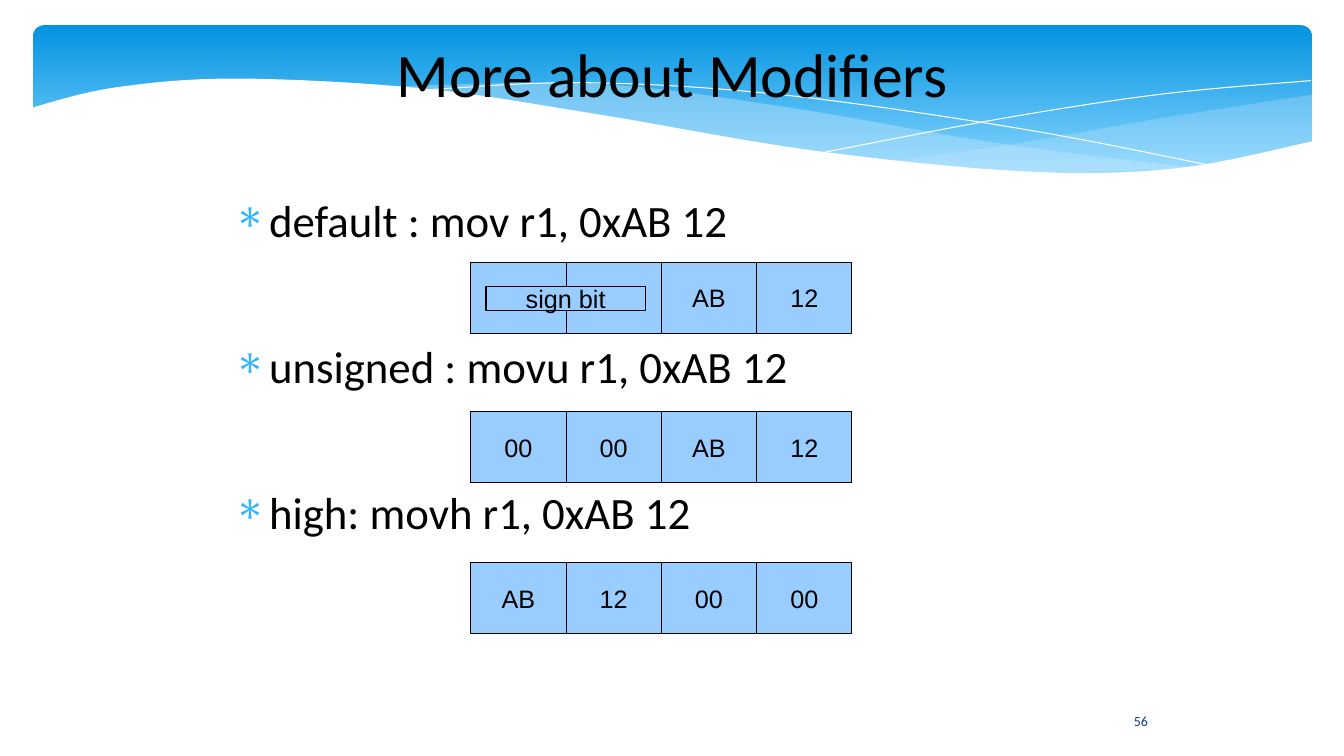
import dataclasses

import pptx
import pptx.dml.color
import pptx.enum.shapes
import pptx.enum.text
import pptx.oxml
import pptx.oxml.ns
import pptx.util
from pptx.util import Inches

RGBColor = pptx.dml.color.RGBColor
PRESET = pptx.enum.shapes.MSO_SHAPE
ALIGN = pptx.enum.text.PP_ALIGN
ANCHOR = pptx.enum.text.MSO_ANCHOR
Point = tuple[float, float]

BAND_TOP = RGBColor(0x02, 0x93, 0xE0)
BAND_BOTTOM = RGBColor(0x83, 0xD3, 0xFE)
WAVE_BLUE = RGBColor(0xC6, 0xE7, 0xFC)
CELL_BLUE = RGBColor(0x99, 0xCC, 0xFF)
BULLET_BLUE = RGBColor(0x31, 0xB6, 0xFD)
NUMBER_BLUE = RGBColor(0x07, 0x3E, 0x87)
WHITE = RGBColor(0xFF, 0xFF, 0xFF)
BLACK = RGBColor(0, 0, 0)

CELL_LEFT, CELL_WIDTH, CELL_HEIGHT = 4.67, 0.945, 0.71
CURVE_STEPS = 8


@dataclasses.dataclass
class Wave:
    """Smooth edges, joined by corners."""
    edges: list[list[Point]]
    fill: RGBColor | None = None
    opacity: int = 100


@dataclasses.dataclass
class ByteRow:
    instruction: str
    top: float
    cells: list[str]


WAVES = [
    Wave([[(13.01, 0.94), (11.47, 1.18), (10.05, 1.43), (8.82, 1.6)],
          [(8.82, 1.6), (10.56, 1.72), (11.86, 1.66), (13.01, 1.42)]], WAVE_BLUE, 29),
    Wave([[(3.82, 0.86), (5.99, 1.16), (8.02, 1.5), (9.98, 1.7), (11.9, 1.67)],
          [(11.9, 1.67), (9.89, 1.42), (7.78, 1.06), (5.89, 0.83), (3.82, 0.86)]],
         WAVE_BLUE, 40),
    Wave([[(4.12, 0.9), (5.77, 0.82), (7.75, 0.94), (10.14, 1.28), (12.1, 1.66)]]),
    Wave([[(8.18, 1.51), (9.97, 1.17), (11.55, 0.93), (13, 0.8)]]),
    Wave([[(0.31, 1.07), (1.13, 0.87), (2.35, 0.78), (4.21, 0.88), (5.96, 1.14),
           (8.04, 1.49), (10.15, 1.7), (11.67, 1.67), (13.03, 1.4)],
          [(13.03, 2.24), (0.31, 2.24)]], WHITE),
]

BYTE_ROWS = [
    ByteRow("default : mov r1, 0xAB 12", 2.6, ["", "", "AB", "12"]),
    ByteRow("unsigned : movu r1, 0xAB 12", 4.08, ["00", "00", "AB", "12"]),
    ByteRow("high: movh r1, 0xAB 12", 5.58, ["AB", "12", "00", "00"]),
]


def set_all(target: object, values: dict) -> None:
    for name, value in values.items():
        setattr(target, name, value)


def style_para(para, name: str, size: float, color: RGBColor, **layout) -> None:
    set_all(para, layout)
    set_all(para.font, {"name": name, "size": pptx.util.Pt(size)})
    para.font.color.rgb = color


def smooth(knots: list[Point]) -> list[Point]:
    """Sample a Catmull-Rom curve through the knots."""
    padded = [knots[0], *knots, knots[-1]]
    points = [knots[0]]
    for a, b, c, d in zip(padded, padded[1:], padded[2:], padded[3:]):
        for step in range(1, CURVE_STEPS + 1):
            t = step / CURVE_STEPS
            points.append(tuple(
                q + t / 2 * (r - p + t * (2 * p - 5 * q + 4 * r - s
                                          + t * (3 * (q - r) + s - p)))
                for p, q, r, s in zip(a, b, c, d)))
    return points


def add_band(shapes) -> None:
    band = shapes.add_shape(PRESET.ROUNDED_RECTANGLE, Inches(0.33), Inches(0.25),
                            Inches(12.68), Inches(1.56))
    band.shadow.inherit = False
    band.adjustments[0] = 0.07
    band.line.fill.background()
    band.fill.gradient()
    band.fill.gradient_angle = 270
    stops = zip(band.fill.gradient_stops, [(0, BAND_TOP), (0.9, BAND_BOTTOM)])
    for stop, (position, color) in stops:
        stop.position = position
        stop.color.rgb = color


def add_wave(shapes, wave: Wave) -> None:
    points = [(Inches(x), Inches(y)) for edge in wave.edges for x, y in smooth(edge)]
    builder = shapes.build_freeform(*points[0])
    builder.add_line_segments(points[1:], close=wave.fill is not None)
    curve = builder.convert_to_shape()
    curve.shadow.inherit = False
    if wave.fill is None:
        curve.fill.background()
        curve.line.color.rgb = WHITE
        curve.line.width = pptx.util.Pt(0)
        return
    curve.line.fill.background()
    curve.fill.solid()
    curve.fill.fore_color.rgb = wave.fill
    if wave.opacity < 100:
        color = curve.element.spPr.find(".//" + pptx.oxml.ns.qn("a:srgbClr"))
        color.append(pptx.oxml.parse_xml(
            f'<a:alpha {pptx.oxml.ns.nsdecls("a")} val="{wave.opacity * 1000}"/>'))


def add_cell(shapes, text: str, left: float, top: float,
             width: float = CELL_WIDTH, height: float = CELL_HEIGHT) -> None:
    cell = shapes.add_shape(PRESET.RECTANGLE, Inches(left), Inches(top),
                            Inches(width), Inches(height))
    cell.shadow.inherit = False
    cell.fill.solid()
    cell.fill.fore_color.rgb = CELL_BLUE
    cell.line.color.rgb = BLACK
    cell.line.width = pptx.util.Pt(0)
    if text:
        set_all(cell.text_frame, {"text": text, "word_wrap": False,
                                  "vertical_anchor": ANCHOR.MIDDLE})
        style_para(cell.text_frame.paragraphs[0], "Arial", 18, BLACK,
                   alignment=ALIGN.CENTER)


def add_bullet(para) -> None:
    properties = para._p.get_or_add_pPr()
    properties.set("marL", str(Inches(0.47)))
    properties.set("indent", str(Inches(-0.35)))
    namespace = pptx.oxml.ns.nsdecls("a")
    for markup in (
            f'<a:buClr {namespace}><a:srgbClr val="{BULLET_BLUE}"/></a:buClr>',
            f'<a:buFont {namespace} typeface="Symbol"/>',
            f'<a:buChar {namespace} char="∗"/>'):
        properties.append(pptx.oxml.parse_xml(markup))


def main() -> None:
    deck = pptx.Presentation()
    set_all(deck, {"slide_width": Inches(13.33), "slide_height": Inches(7.5)})
    page = deck.slides.add_slide(deck.slide_layouts[5])
    shapes = page.shapes

    # Header band and waves
    add_band(shapes)
    for wave in WAVES:
        add_wave(shapes, wave)

    # Slide number
    number = shapes.add_textbox(Inches(11.01), Inches(6.95), Inches(0.61), Inches(0.4))
    set_all(number.text_frame, {"text": "56", "word_wrap": True,
                                "vertical_anchor": ANCHOR.MIDDLE})
    style_para(number.text_frame.paragraphs[0], "Calibri", 10, NUMBER_BLUE,
               alignment=ALIGN.CENTER)

    # Title, raised above the band
    title = shapes.title
    shapes.element.append(title.element)
    set_all(title, {"left": Inches(1.92), "top": Inches(0.17),
                    "width": Inches(9.5), "height": Inches(1.02)})
    set_all(title.text_frame, {
        "text": "More about Modifiers", "vertical_anchor": ANCHOR.MIDDLE,
        "margin_left": 0, "margin_right": 0, "margin_bottom": 0,
        "margin_top": Inches(0.08)})
    style_para(title.text_frame.paragraphs[0], "Calibri", 44, BLACK,
               alignment=ALIGN.CENTER)

    # Instructions
    box = shapes.add_textbox(Inches(2.1), Inches(1.88), Inches(9.32), Inches(4.09))
    set_all(box.text_frame, {"word_wrap": True, "margin_top": Inches(0.03),
                             "text": "\n".join(row.instruction for row in BYTE_ROWS)})
    for para in box.text_frame.paragraphs:
        add_bullet(para)
        style_para(para, "Calibri", 32, BLACK, space_after=pptx.util.Pt(66))

    # Register bytes
    for row in BYTE_ROWS:
        for column, text in enumerate(row.cells):
            add_cell(shapes, text, CELL_LEFT + column * CELL_WIDTH, row.top)
    add_cell(shapes, "sign bit", 4.82, 2.84, 1.58, 0.24)

    deck.save("out.pptx")


if __name__ == "__main__":
    main()
